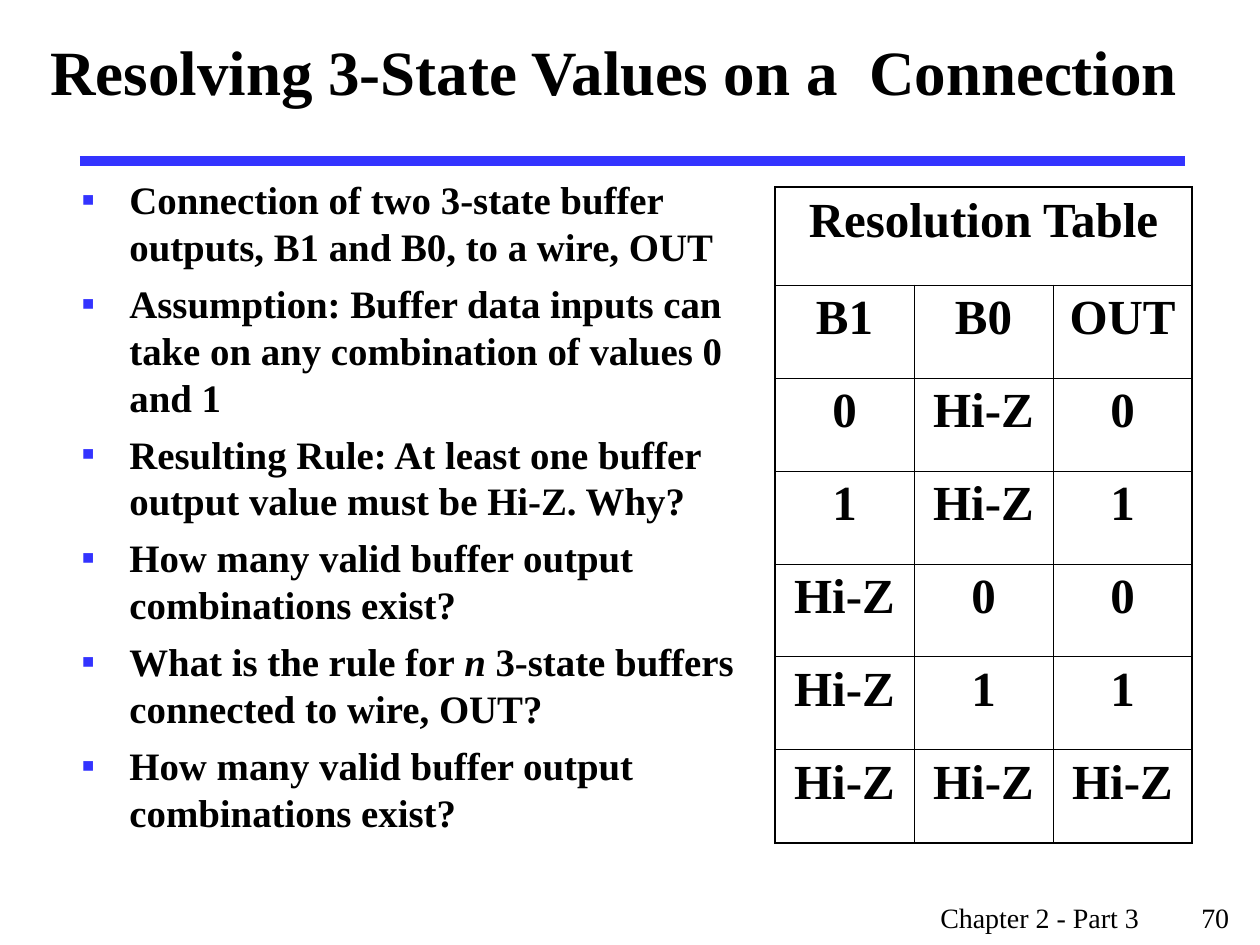
"""Build the slide on resolving 3-state values on a connection."""
from lxml import etree
from pptx import Presentation
from pptx.dml.color import RGBColor
from pptx.enum.shapes import MSO_CONNECTOR
from pptx.enum.text import MSO_ANCHOR, PP_ALIGN
from pptx.oxml.ns import qn
from pptx.util import Pt

STRAIGHT = MSO_CONNECTOR.STRAIGHT
MIDDLE = MSO_ANCHOR.MIDDLE
CENTER = PP_ALIGN.CENTER
PX = 914400 / 126
THEME = {
    "font": "Times New Roman", "ink": "000000", "accent": "3333FF",
    "title": 36, "body": 22.2, "table": 28, "footer": 16,
    "rule": 6, "outer": 1.08, "inner": 0.45,
}


def px(*lengths):
    return [round(length * PX) for length in lengths]


def style(para, size, bold=True):
    for span in para.runs:
        span.font.name = THEME["font"]
        span.font.size = Pt(THEME[size])
        span.font.bold = bold
        span.font.color.rgb = RGBColor.from_string(THEME["ink"])


deck = Presentation()
deck.slide_width, deck.slide_height = px(1260, 945)
page = deck.slides.add_slide(deck.slide_layouts[6])

rule = page.shapes.add_connector(STRAIGHT, *px(80, 161, 1185, 161))
rule.line.color.rgb = RGBColor.from_string(THEME["accent"])
rule.line.width = Pt(THEME["rule"])
etree.SubElement(rule.element.spPr, qn("a:effectLst"))

footer = page.shapes.add_textbox(*px(928, 894, 328, 47)).text_frame
footer.word_wrap = True
footer.text = "Chapter 2 - Part 3\t70"
para = footer.paragraphs[0]
tabs = etree.SubElement(para._p.get_or_add_pPr(), qn("a:tabLst"))
etree.SubElement(tabs, qn("a:tab"), pos=str(px(261)[0]), algn="l")
style(para, "footer", bold=False)

title = page.shapes.add_textbox(*px(38, 0, 1193, 141)).text_frame
title.word_wrap = True
title.vertical_anchor = MIDDLE
title.text = "Resolving 3-State Values on a  Connection"
style(title.paragraphs[0], "title")

points = [
    ["Connection of two 3-state buffer outputs, B1 and B0, to a wire, OUT"],
    ["Assumption: Buffer data inputs can take on any combination of values 0 and 1"],
    ["Resulting Rule: At least one buffer output value must be Hi-Z. Why?"],
    ["How many valid buffer output combinations exist?"],
    ["What is the rule for ", "n ", "3-state buffers connected to wire, OUT?"],
    ["How many valid buffer output combinations exist?"],
]
body = page.shapes.add_textbox(*px(69, 170, 706, 693)).text_frame
body.word_wrap = True
indent = px(48)[0]
for number, parts in enumerate(points):
    para = body.add_paragraph() if number else body.paragraphs[0]
    para.space_before = Pt(6 if number else 0)
    props = para._p.get_or_add_pPr()
    props.set("marL", str(indent))
    props.set("indent", str(-indent))
    color = etree.SubElement(props, qn("a:buClr"))
    etree.SubElement(color, qn("a:srgbClr"), val=THEME["accent"])
    etree.SubElement(props, qn("a:buFont"), typeface=THEME["font"])
    etree.SubElement(props, qn("a:buChar"), char="▪")
    for part in parts:
        span = para.add_run()
        span.text = part
        span.font.italic = part == "n "
    style(para, "body")

rows = [
    ["Resolution Table", "", ""],
    ["B1", "B0", "OUT"],
    ["0", "Hi-Z", "0"],
    ["1", "Hi-Z", "1"],
    ["Hi-Z", "0", "0"],
    ["Hi-Z", "1", "1"],
    ["Hi-Z", "Hi-Z", "Hi-Z"],
]
table = page.shapes.add_table(len(rows), 3, *px(775, 187, 417, 656)).table
table.first_row = table.horz_banding = False
for column in table.columns:
    column.width = px(139)[0]
for r, row in enumerate(rows):
    table.rows[r].height = px(93 if r else 98)[0]
    for c, value in enumerate(row):
        cell = table.cell(r, c)
        cell.fill.background()
        outer_sides = {
            "lnL": c == 0, "lnR": c == 2 or r == 0,
            "lnT": r == 0, "lnB": r == len(rows) - 1,
        }
        for place, (side, outer) in enumerate(outer_sides.items()):
            width = Pt(THEME["outer" if outer else "inner"])
            border = etree.Element(qn(f"a:{side}"), w=str(width))
            fill = etree.SubElement(border, qn("a:solidFill"))
            etree.SubElement(fill, qn("a:srgbClr"), val=THEME["ink"])
            cell._tc.get_or_add_tcPr().insert(place, border)
        if value:
            cell.text_frame.text = value
            para = cell.text_frame.paragraphs[0]
            para.alignment = CENTER
            style(para, "table")
table.cell(0, 0).merge(table.cell(0, 2))

deck.save("out.pptx")
